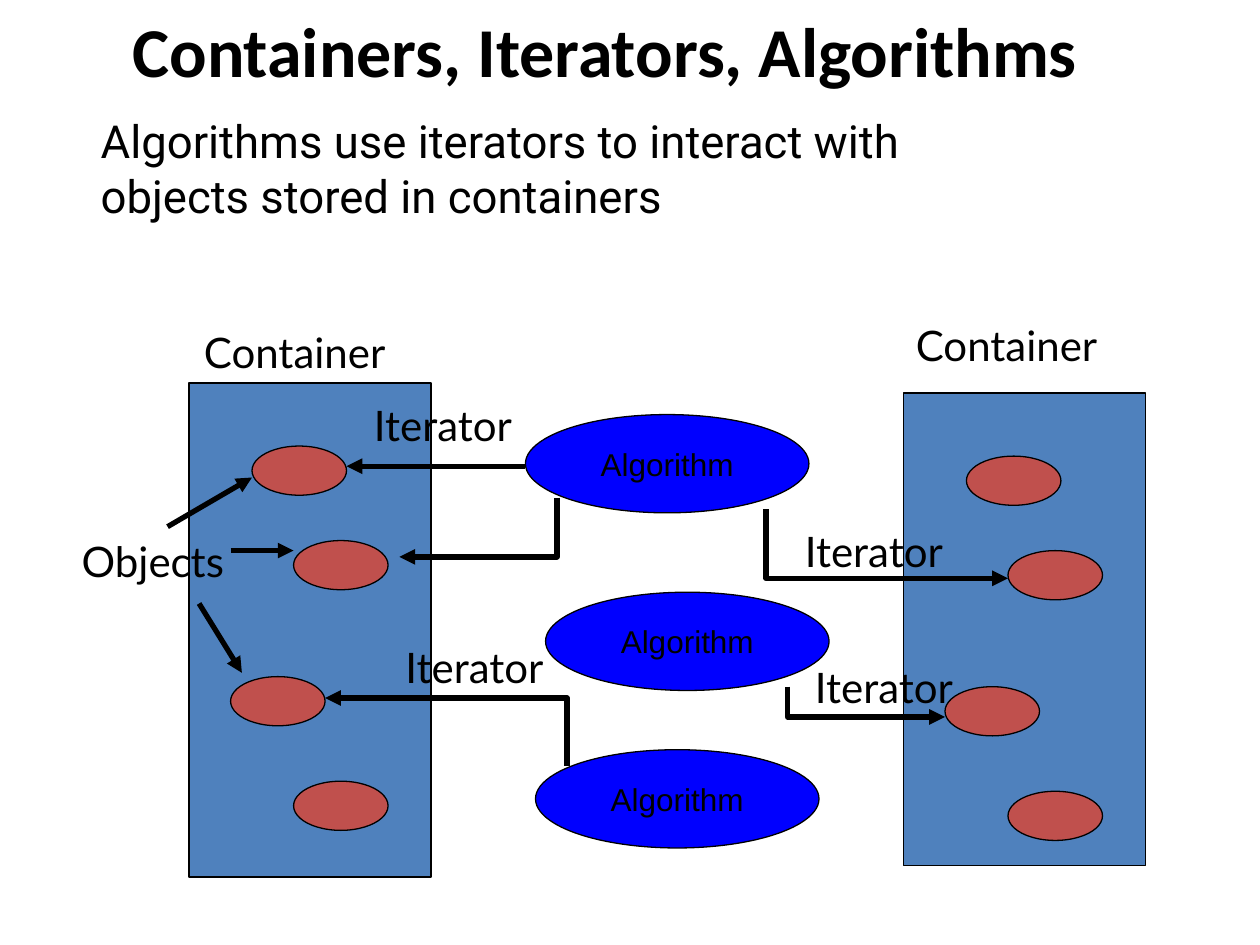
from typing import NamedTuple

from lxml import etree
from pptx import Presentation
from pptx.dml.color import RGBColor
from pptx.enum.shapes import MSO_CONNECTOR, MSO_SHAPE
from pptx.enum.text import MSO_ANCHOR, PP_ALIGN
from pptx.oxml.ns import qn
from pptx.util import Pt

PX = 9144
RECTANGLE, OVAL = MSO_SHAPE.RECTANGLE, MSO_SHAPE.OVAL
STRAIGHT = MSO_CONNECTOR.STRAIGHT
LEFT, CENTER = PP_ALIGN.LEFT, PP_ALIGN.CENTER
TOP, MIDDLE = MSO_ANCHOR.TOP, MSO_ANCHOR.MIDDLE
BLACK, CONTAINER_BLUE, OBJECT_RED, ALGORITHM_BLUE = "000000", "4F81BD", "C0504D", "0000FF"
OBJECT_OFFSETS = [(50, 50), (83, 125), (33, 233), (83, 316)]


class Box(NamedTuple):
    left: int
    top: int
    width: int
    height: int


class Label(NamedTuple):
    text: str
    box: Box


class Point(NamedTuple):
    x: int
    y: int


CONTAINERS = [Box(150, 304, 192, 392), Box(717, 312, 192, 375)]
ALGORITHMS = [Point(417, 329), Point(433, 470), Point(425, 595)]
STRAIGHT_ARROWS = [
    (Point(417, 370), Point(275, 370)),
    (Point(183, 437), Point(233, 437)),
    (Point(158, 479), Point(192, 534)),
    (Point(133, 418), Point(200, 379)),
]
ELBOW_ARROWS = [
    (Point(442, 395), Point(317, 442)),
    (Point(608, 404), Point(800, 459)),
    (Point(450, 608), Point(258, 554)),
    (Point(625, 545), Point(750, 569)),
]
LABELS = [
    Label("Container", Box(152, 254, 174, 50)),
    Label("Container", Box(717, 249, 174, 50)),
    Label("Iterator", Box(287, 312, 140, 50)),
    Label("Iterator", Box(312, 504, 140, 50)),
    Label("Iterator", Box(629, 412, 140, 50)),
    Label("Iterator", Box(637, 520, 140, 50)),
    Label("Objects", Box(55, 420, 138, 50)),
]


def color(value: str) -> RGBColor:
    return RGBColor.from_string(value)


def emu(box: Box) -> list[int]:
    return [length * PX for length in box]


def write(shape, text: str, *, size: int, font: str, bold: bool = False,
          align=LEFT, anchor=TOP, wrap: bool = False) -> None:
    frame = shape.text_frame
    frame.word_wrap = wrap
    frame.vertical_anchor = anchor
    paragraph = frame.paragraphs[0]
    paragraph.alignment = align
    run = paragraph.add_run()
    run.text = text
    run.font.size = Pt(size)
    run.font.name = font
    run.font.bold = bold
    run.font.color.rgb = color(BLACK)


def add_text(slide, label: Label, **style) -> None:
    write(slide.shapes.add_textbox(*emu(label.box)), label.text, **style)


def add_block(slide, kind, box: Box, fill: str):
    shape = slide.shapes.add_shape(kind, *emu(box))
    shape.shadow.inherit = False
    shape.fill.solid()
    shape.fill.fore_color.rgb = color(fill)
    shape.line.color.rgb = color(BLACK)
    shape.line.width = Pt(0.75)
    return shape


def add_container(slide, box: Box) -> None:
    add_block(slide, RECTANGLE, box, CONTAINER_BLUE)
    for across, down in OBJECT_OFFSETS:
        add_block(slide, OVAL, Box(box.left + across, box.top + down, 75, 39), OBJECT_RED)


def add_algorithm(slide, corner: Point) -> None:
    shape = add_block(slide, OVAL, Box(corner.x, corner.y, 225, 78), ALGORITHM_BLUE)
    write(shape, "Algorithm", size=18, font="Arial", align=CENTER, anchor=MIDDLE)


def style_arrow(shape) -> None:
    shape.line.color.rgb = color(BLACK)
    shape.line.width = Pt(3)
    properties = shape.element.spPr
    etree.SubElement(properties.find(qn("a:ln")), qn("a:tailEnd"), type="triangle")
    etree.SubElement(properties, qn("a:effectLst"))


def add_straight_arrow(slide, start: Point, end: Point) -> None:
    ends = [length * PX for length in (*start, *end)]
    style_arrow(slide.shapes.add_connector(STRAIGHT, *ends))


def add_elbow_arrow(slide, start: Point, end: Point) -> None:
    builder = slide.shapes.build_freeform(start.x, start.y, scale=PX)
    builder.add_line_segments([(start.x, end.y), end], close=False)
    shape = builder.convert_to_shape()
    shape.fill.background()
    style_arrow(shape)


def main() -> None:
    presentation = Presentation()
    presentation.slide_width = 1000 * PX
    presentation.slide_height = 750 * PX
    slide = presentation.slides.add_slide(presentation.slide_layouts[6])

    add_text(slide, Label("Containers, Iterators, Algorithms", Box(52, -8, 856, 94)),
             size=40, font="Calibri", bold=True, align=CENTER, anchor=MIDDLE, wrap=True)
    add_text(slide, Label("Algorithms use iterators to interact with objects stored in containers",
                          Box(70, 85, 755, 97)), size=26, font="Roboto", wrap=True)
    for box in CONTAINERS:
        add_container(slide, box)
    for corner in ALGORITHMS:
        add_algorithm(slide, corner)
    for start, end in STRAIGHT_ARROWS:
        add_straight_arrow(slide, start, end)
    for start, end in ELBOW_ARROWS:
        add_elbow_arrow(slide, start, end)
    for label in LABELS:
        add_text(slide, label, size=24, font="Lato")

    presentation.save("out.pptx")


if __name__ == "__main__":
    main()
